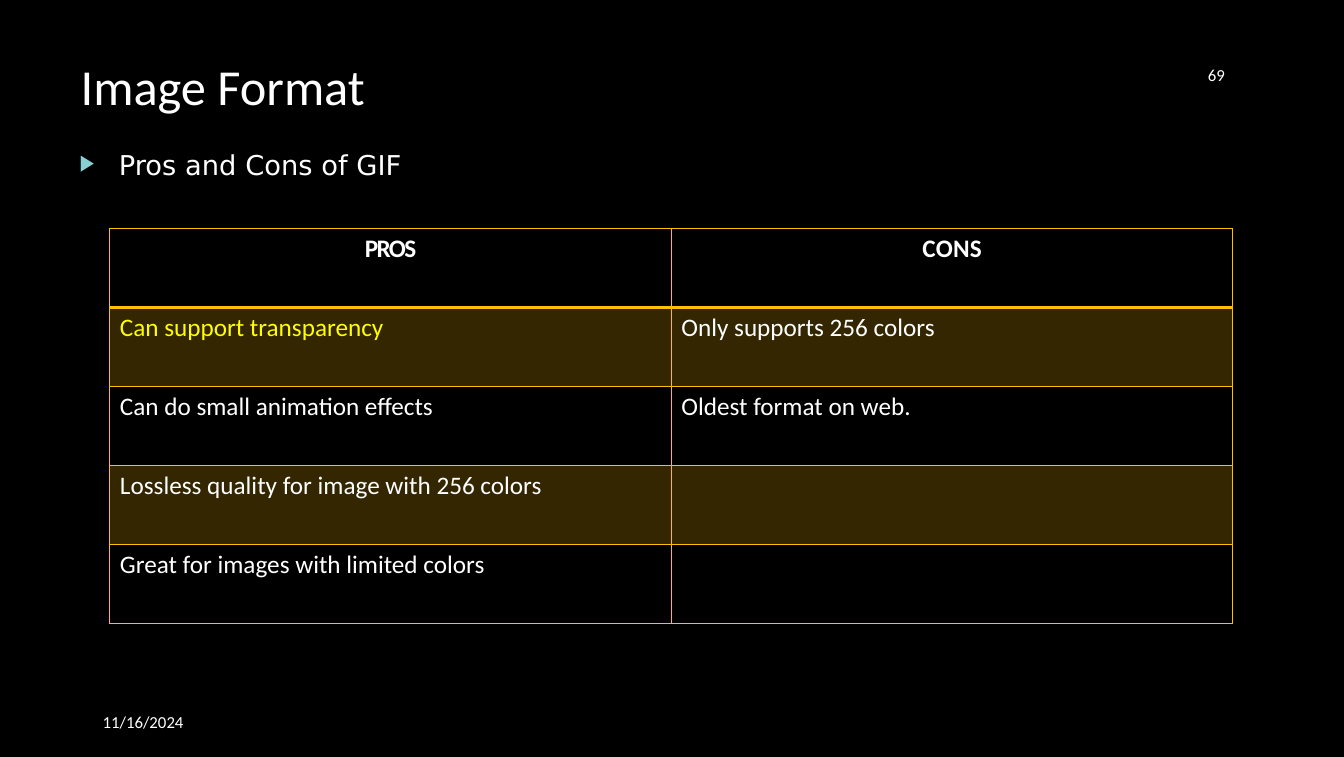
from lxml.etree import SubElement as Sub
from pptx import Presentation
from pptx.dml.color import RGBColor as RGB
from pptx.enum.text import MSO_ANCHOR as Anchor, MSO_AUTO_SIZE as Auto, PP_ALIGN as Align
from pptx.oxml.ns import qn
from pptx.util import Pt

WHITE, BLACK, GOLD, YELLOW, TEAL = "FFFFFF", "000000", "FFC000", "FFFF00", "89D0D5"

TITLE = dict(text="Image Format", at=(56.9, 37.4, 704.9, 45.4), size=36, left=0.7, inset=(0, 1.4, 0, 0))
POINT = dict(text="Pros and Cons of GIF", at=(56.9, 104.4, 362.9, 25.2), size=19.5, face="DejaVu Sans",
             inset=(0, 1.4, 0, 0), anchor=Anchor.TOP, bullet="▶")
DATE = dict(text="11/16/2024", at=(66.2, 501.1, 216, 28.8), size=12)
PAGE = dict(text="69", at=(815.8, 23, 66.2, 60.5), size=12, align=Align.RIGHT)

HEAD = [("PROS", -1.2), ("CONS", 0.2)]
ROWS = [
    ("Can support transparency", "Only supports 256 colors"),
    ("Can do small animation effects", "Oldest format on web."),
    ("Lossless quality for image with 256 colors", ""),
    ("Great for images with limited colors", ""),
]
LEFT, TOP, COL, ROW = 78.5, 163.4, 401.1, 56.4


def paint(color, tint):
    color.rgb = RGB.from_string(tint)


def style(font, tint=WHITE, **values):
    for key, value in values.items():
        setattr(font, key, value)
    paint(font.color, tint)


def mark(para, char, tint, gap):
    props = para._p.get_or_add_pPr()
    props.set("marL", str(Pt(gap)))
    props.set("indent", str(-Pt(gap)))
    Sub(Sub(props, qn("a:buClr")), qn("a:srgbClr"), val=tint)
    Sub(props, qn("a:buSzPct"), val="82000")
    Sub(props, qn("a:buFont"), typeface="Courier New")
    Sub(props, qn("a:buChar"), char=char)


def label(slide, text, at, size, face="Calibri", align=Align.LEFT, anchor=Anchor.MIDDLE,
          inset=(7.2, 3.6, 7.2, 3.6), left=0, bullet=None):
    frame = slide.shapes.add_textbox(*map(Pt, at)).text_frame
    sides = [Pt(inset[0] + left), *map(Pt, inset[1:])]
    for side, width in zip(("left", "top", "right", "bottom"), sides):
        setattr(frame, f"margin_{side}", width)
    frame.word_wrap, frame.vertical_anchor = True, anchor
    frame.auto_size = Auto.NONE
    para = frame.paragraphs[0]
    para.alignment = align
    if bullet:
        mark(para, bullet, TEAL, 28)
    run = para.add_run()
    run.text = text
    style(run.font, size=Pt(size), name=face)


def fill(cell, row, last):
    props = cell._tc.get_or_add_tcPr()
    wide = {"T": 2 if row == 1 else 1, "B": 2 if row == 0 else 1}
    for side in "LRTB":
        line = Sub(props, qn(f"a:ln{side}"), w=str(Pt(wide.get(side, 1))))
        Sub(Sub(line, qn("a:solidFill")), qn("a:srgbClr"), val=GOLD)
    if row % 2:
        cell.fill.solid()
        paint(cell.fill.fore_color, GOLD)
        Sub(props.find(f"{qn('a:solidFill')}/{qn('a:srgbClr')}"), qn("a:alpha"), val="20000")
    else:
        cell.fill.background()


def write(cell, text, row, col):
    head = row == 0
    cell.margin_left = Pt(0 if head else 7.2)
    cell.margin_top = Pt(3.6)
    cell.margin_right = cell.margin_bottom = Pt(0)
    if not text:
        return
    para = cell.text_frame.paragraphs[0]
    para.alignment = Align.CENTER if head else Align.LEFT
    run = para.add_run()
    run.text = text
    style(run.font, YELLOW if (row, col) == (1, 0) else WHITE, size=Pt(18), name="Calibri", bold=head)
    if head:
        run.font._element.set("spc", str(round(HEAD[col][1] * 100)))


def grid(slide):
    lines = [[text for text, gap in HEAD], *ROWS]
    count, width = len(lines), len(HEAD)
    table = slide.shapes.add_table(count, width, Pt(LEFT), Pt(TOP), Pt(COL * width), Pt(ROW * count)).table
    table.first_row = table.horz_banding = False
    for col in table.columns:
        col.width = Pt(COL)
    for row, texts in enumerate(lines):
        table.rows[row].height = Pt(ROW)
        for col, text in enumerate(texts):
            cell = table.cell(row, col)
            fill(cell, row, count - 1)
            write(cell, text, row, col)


def main():
    deck = Presentation()
    deck.slide_width, deck.slide_height = Pt(960), Pt(540.7)
    slide = deck.slides.add_slide(deck.slide_layouts[6])
    slide.background.fill.solid()
    paint(slide.background.fill.fore_color, BLACK)
    for part in (TITLE, DATE, PAGE, POINT):
        label(slide, **part)
    grid(slide)
    deck.save("out.pptx")


if __name__ == "__main__":
    main()
